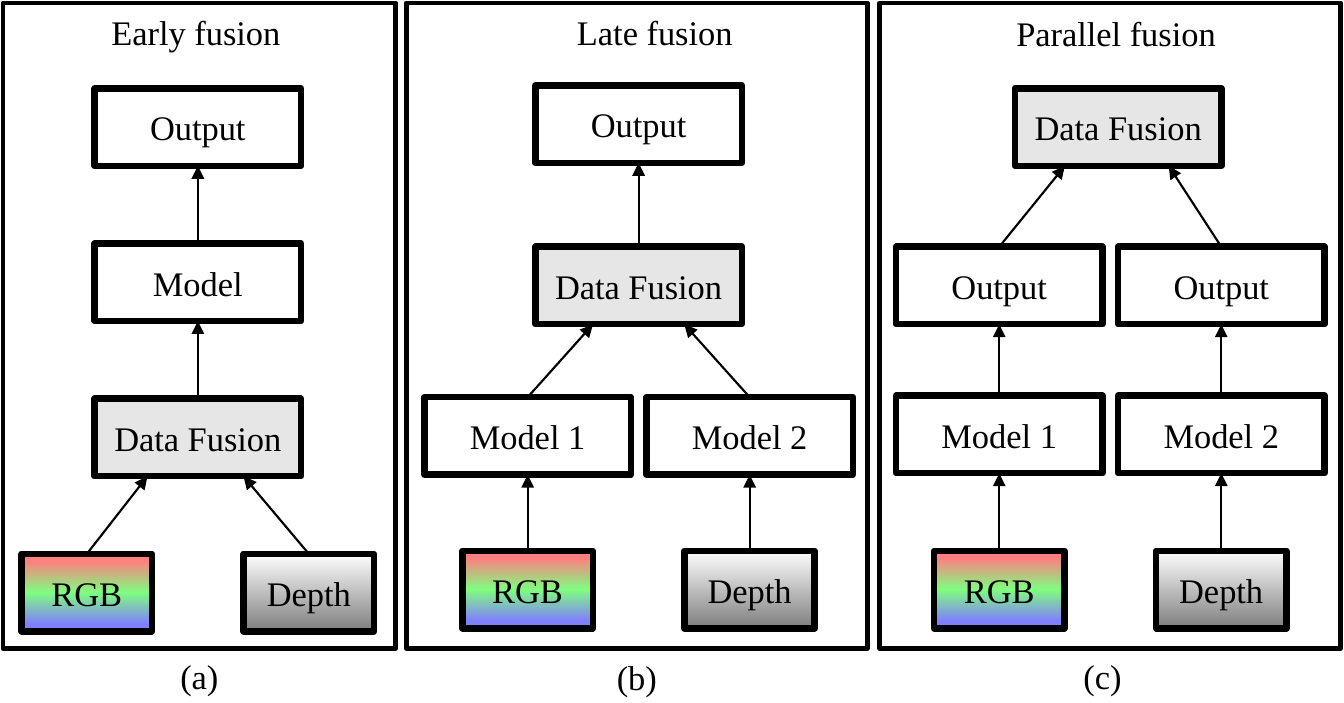
from dataclasses import dataclass

from lxml import etree
from pptx import Presentation
from pptx.dml.color import RGBColor
from pptx.enum.shapes import MSO_CONNECTOR, MSO_SHAPE
from pptx.enum.text import MSO_ANCHOR, MSO_AUTO_SIZE, PP_ALIGN
from pptx.oxml.ns import qn
from pptx.shapes.autoshape import Shape
from pptx.slide import Slide
from pptx.text.text import TextFrame
from pptx.util import Pt

RECTANGLE = MSO_SHAPE.RECTANGLE
STRAIGHT = MSO_CONNECTOR.STRAIGHT
MIDDLE = MSO_ANCHOR.MIDDLE
GROW = MSO_AUTO_SIZE.SHAPE_TO_FIT_TEXT
CENTER, LEFT = PP_ALIGN.CENTER, PP_ALIGN.LEFT
TOP_SIDE, BOTTOM_SIDE = 0, 2

BLACK = RGBColor(0x00, 0x00, 0x00)
WHITE = RGBColor(0xFF, 0xFF, 0xFF)
RED = RGBColor(0xFF, 0x00, 0x00)
GREEN = RGBColor(0x00, 0xFF, 0x00)
BLUE = RGBColor(0x00, 0x00, 0xFF)
LIGHT_GRAY = RGBColor(0xE7, 0xE6, 0xE6)

FONT, FONT_SIZE = "Times New Roman", 16
FUSION = "Data Fusion"
INPUTS = ("RGB", "Depth")
MODELS = ("Model 1", "Model 2")
# Gradient stops run from the bottom of the box to its top.
GRADIENTS = {
    "RGB": ((10, BLUE), (50, GREEN), (90, RED)),
    "Depth": ((0, BLACK), (100, WHITE)),
}

INPUT_WIDTH, STEP_WIDTH, BOX_HEIGHT = 60.5, 95.8, 36
STREAM_GAP = 103
FRAME_TOP, FRAME_HEIGHT = 1.4, 299.5
TEXT_HEIGHT = 26.6


@dataclass(frozen=True)
class Panel:
    """One fusion scheme; rows and their tops run from inputs upwards."""
    title: str
    title_left: float
    title_top: float
    title_width: float
    caption: str
    caption_left: float
    caption_top: float
    frame_left: float
    frame_width: float
    stream_x: float
    middle_x: float
    landings: tuple[float, float]
    tops: tuple[float, ...]
    rows: tuple[tuple[str, ...], ...]


PANELS = (
    Panel("Early fusion", 44.6, 1.4, 94.3, "(a)", 1.4, 300.2, 1.4, 182.2,
          40.3, 91.8, (-23.4, 21.2), (257, 185, 113, 41),
          (INPUTS, (FUSION,), ("Model",), ("Output",))),
    Panel("Late fusion", 260.6, 1.4, 87.8, "(b)", 188.6, 301, 188.6, 213.8,
          244.8, 296.3, (-21.2, 21.2), (255.6, 184.3, 114.5, 39.6),
          (INPUTS, MODELS, (FUSION,), ("Output",))),
    Panel("Parallel fusion", 464.4, 2.2, 108.7, "(c)", 404.6, 300.2, 408.2, 213.8,
          463.6, 518.8, (-24.8, 23.4), (255.6, 183.6, 114.5, 41),
          (INPUTS, MODELS, ("Output", "Output"), (FUSION,))),
)


def write(frame: TextFrame, text: str, alignment: PP_ALIGN) -> None:
    para = frame.paragraphs[0]
    para.text = text
    para.alignment = alignment
    para.font.name = FONT
    para.font.size = Pt(FONT_SIZE)
    para.font.color.rgb = BLACK


def add_text(page: Slide, text: str, left: float, top: float, width: float,
             wrap: bool, alignment: PP_ALIGN) -> None:
    box = page.shapes.add_textbox(Pt(left), Pt(top), Pt(width), Pt(TEXT_HEIGHT))
    box.text_frame.word_wrap = wrap
    box.text_frame.auto_size = GROW
    write(box.text_frame, text, alignment)


def add_outline(page: Slide, left: float, top: float, width: float,
                height: float, line_width: float) -> Shape:
    """Add an unfilled rectangle with a black line."""
    box = page.shapes.add_shape(RECTANGLE, Pt(left), Pt(top), Pt(width), Pt(height))
    box.shadow.inherit = False
    box.fill.background()
    box.line.color.rgb = BLACK
    box.line.width = Pt(line_width)
    return box


def fill_gradient(box: Shape, stops: tuple[tuple[int, RGBColor], ...]) -> None:
    """Fill an unfilled box with half-transparent stops running upwards."""
    gradient = etree.Element(qn("a:gradFill"), rotWithShape="1")
    stop_list = etree.SubElement(gradient, qn("a:gsLst"))
    for position, color in stops:
        stop = etree.SubElement(stop_list, qn("a:gs"), pos=str(position * 1000))
        tone = etree.SubElement(stop, qn("a:srgbClr"), val=str(color))
        etree.SubElement(tone, qn("a:alpha"), val="50000")
    etree.SubElement(gradient, qn("a:lin"), ang=str(270 * 60000), scaled="0")
    properties = box.element.spPr
    properties.replace(properties.find(qn("a:noFill")), gradient)


def add_step(page: Slide, label: str, center: float, top: float) -> Shape:
    width = INPUT_WIDTH if label in INPUTS else STEP_WIDTH
    box = add_outline(page, center - width / 2, top, width, BOX_HEIGHT, 3)
    if label in GRADIENTS:
        fill_gradient(box, GRADIENTS[label])
    elif label == FUSION:
        box.fill.solid()
        box.fill.fore_color.rgb = LIGHT_GRAY
    box.text_frame.word_wrap = True
    box.text_frame.vertical_anchor = MIDDLE
    write(box.text_frame, label, CENTER)
    return box


def add_arrow(page: Slide, source: Shape, target: Shape, landing: float = 0) -> None:
    """Point from the source's top to the target's bottom, landing off its middle."""
    end_x = target.left + target.width // 2 + Pt(landing)
    end_y = target.top + target.height
    arrow = page.shapes.add_connector(
        STRAIGHT, source.left + source.width // 2, source.top, end_x, end_y)
    arrow.begin_connect(source, TOP_SIDE)
    if not landing:
        arrow.end_connect(target, BOTTOM_SIDE)
    arrow.line.color.rgb = BLACK
    arrow.line.width = Pt(1)
    properties = arrow.element.spPr
    etree.SubElement(properties.find(qn("a:ln")), qn("a:tailEnd"), type="triangle")
    etree.SubElement(properties, qn("a:effectLst"))


def add_panel(page: Slide, panel: Panel) -> None:
    add_outline(page, panel.frame_left, FRAME_TOP, panel.frame_width, FRAME_HEIGHT, 2.25)
    streams = (panel.stream_x, panel.stream_x + STREAM_GAP)
    below: list[Shape] = []
    for labels, top in zip(panel.rows, panel.tops):
        centers = streams if len(labels) == 2 else (panel.middle_x,)
        row = [add_step(page, label, center, top)
               for label, center in zip(labels, centers)]
        if len(below) > len(row):
            for source, landing in zip(below, panel.landings):
                add_arrow(page, source, row[0], landing)
        else:
            for source, target in zip(below, row):
                add_arrow(page, source, target)
        below = row
    add_text(page, panel.title, panel.title_left, panel.title_top,
             panel.title_width, False, LEFT)
    add_text(page, panel.caption, panel.caption_left, panel.caption_top,
             panel.frame_width, True, CENTER)


def main() -> None:
    deck = Presentation()
    deck.slide_width, deck.slide_height = Pt(623.52), Pt(326.16)
    page = deck.slides.add_slide(deck.slide_layouts[6])
    for panel in PANELS:
        add_panel(page, panel)
    deck.save("out.pptx")


if __name__ == "__main__":
    main()
